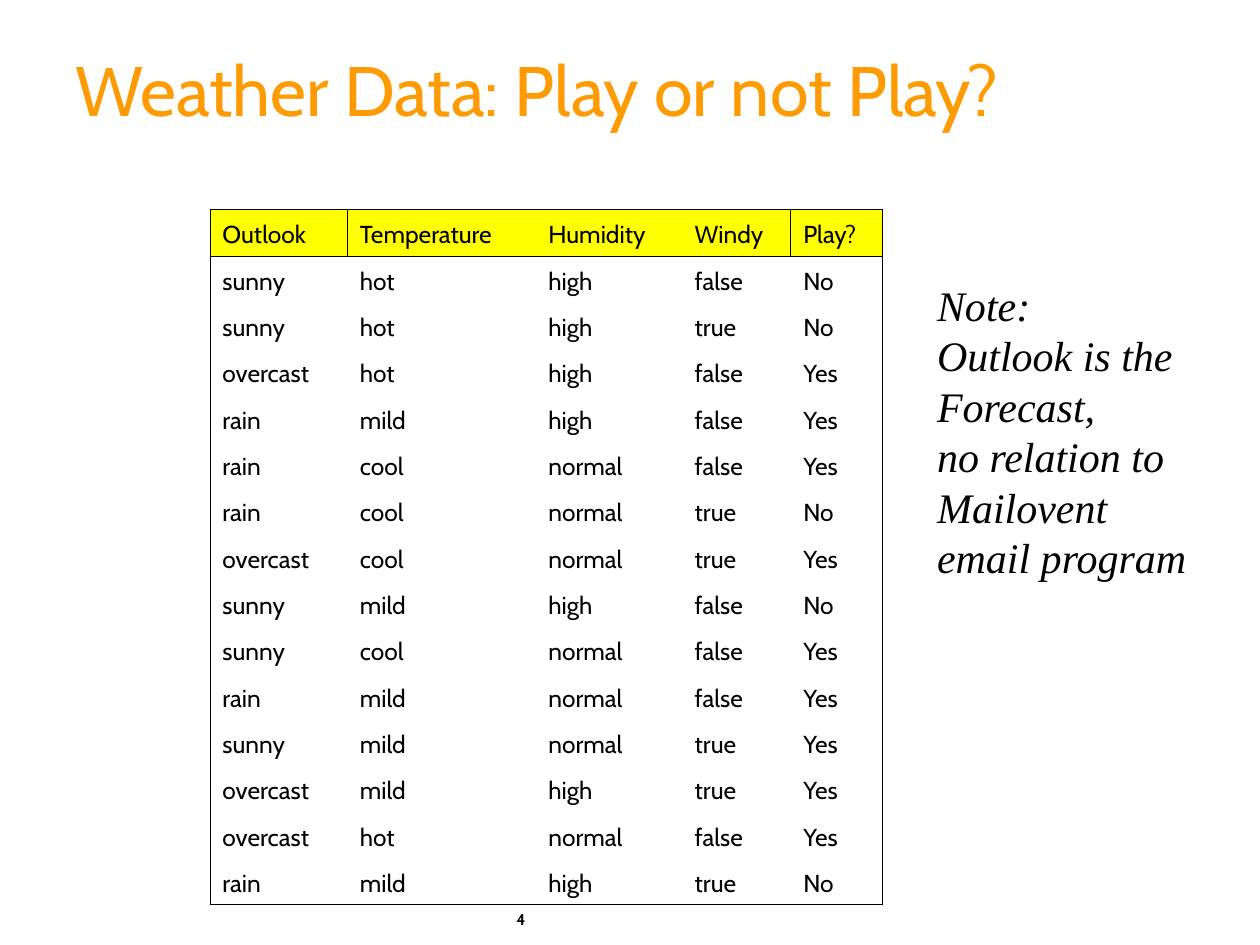
from lxml import etree
from pptx import Presentation, util as u
from pptx.dml import color
from pptx.enum import text
from pptx.oxml import ns

BLACK, YELLOW, ORANGE = "000000", "FFFF00", "FE9B03"
ROWS = """Outlook Temperature Humidity Windy Play?
sunny hot high false No
sunny hot high true No
overcast hot high false Yes
rain mild high false Yes
rain cool normal false Yes
rain cool normal true No
overcast cool normal true Yes
sunny mild high false No
sunny cool normal false Yes
rain mild normal false Yes
sunny mild normal true Yes
overcast mild high true Yes
overcast hot normal false Yes
rain mild high true No"""
NOTE = ["Note:", "Outlook is the", "Forecast,", "no relation to", "Mailovent", "email program"]


def style(paragraph, name, size, shade=BLACK):
    paragraph.font.name = name
    paragraph.font.size = u.Pt(size)
    paragraph.font.color.rgb = color.RGBColor.from_string(shade)


def set_borders(cell, widths):
    """Draw black borders; widths maps the sides L, R, T, B to points, 0 for none."""
    properties = cell._tc.get_or_add_tcPr()
    for side, width in widths.items():
        line = etree.SubElement(properties, ns.qn(f"a:ln{side}"), w=str(u.Pt(width)))
        if width:
            fill = etree.SubElement(line, ns.qn("a:solidFill"))
            etree.SubElement(fill, ns.qn("a:srgbClr"), val=BLACK)
        else:
            etree.SubElement(line, ns.qn("a:noFill"))


deck = Presentation()
deck.slide_width, deck.slide_height = u.Cm(25.4), u.Cm(19.05)
page = deck.slides.add_slide(deck.slide_layouts[6])

# Title
title = page.shapes.add_textbox(u.Cm(1.27), u.Cm(0.64), u.Cm(23.06), u.Cm(2.54)).text_frame
title.word_wrap = True
title.vertical_anchor = text.MSO_ANCHOR.MIDDLE
title.text = "Weather Data: Play or not Play?"
title.paragraphs[0].line_spacing = 0.85
style(title.paragraphs[0], "Cabin", 40, ORANGE)

# Weather table
rows = [line.split() for line in ROWS.splitlines()]
widths = [2.77, 3.8, 2.95, 2.19, 1.85]
last_row, last_column = len(rows) - 1, len(widths) - 1
table = page.shapes.add_table(len(rows), len(widths), u.Cm(4.23), u.Cm(4.23),
                              u.Cm(sum(widths)), u.Cm(14.01)).table
table.first_row = table.horz_banding = False
for column, width in zip(table.columns, widths):
    column.width = u.Cm(width)

for r, values in enumerate(rows):
    header = r == 0
    for c, value in enumerate(values):
        cell = table.cell(r, c)
        cell.text = value
        cell.vertical_anchor = text.MSO_ANCHOR.BOTTOM
        style(cell.text_frame.paragraphs[0], "Cabin", 14)
        set_borders(cell, {
            "L": 0.06 if c == 0 else 0.45 if header and c in (1, last_column) else 0,
            "R": 0.06 if c == last_column else 0.45 if header and c in (0, last_column - 1) else 0,
            "T": 0.45 if r <= 1 else 0,
            "B": 0.45 if r in (0, last_row) else 0,
        })
        if header:
            cell.fill.solid()
            cell.fill.fore_color.rgb = color.RGBColor.from_string(YELLOW)
        else:
            cell.fill.background()

# Side note
note = page.shapes.add_textbox(u.Cm(18.64), u.Cm(5.51), u.Cm(5.56), u.Cm(6.35)).text_frame
note.word_wrap = False
note.auto_size = text.MSO_AUTO_SIZE.SHAPE_TO_FIT_TEXT
note.text = "\n".join(NOTE)
for paragraph in note.paragraphs:
    style(paragraph, "Times New Roman", 24)
    paragraph.font.italic = True

# Page number
number = page.shapes.add_textbox(u.Cm(10.16), u.Cm(18.21), u.Cm(2.59), u.Cm(0.84)).text_frame
number.word_wrap = True
number.text = "4"
style(number.paragraphs[0], "Cabin", 9)
number.paragraphs[0].font.bold = True

deck.save("out.pptx")
